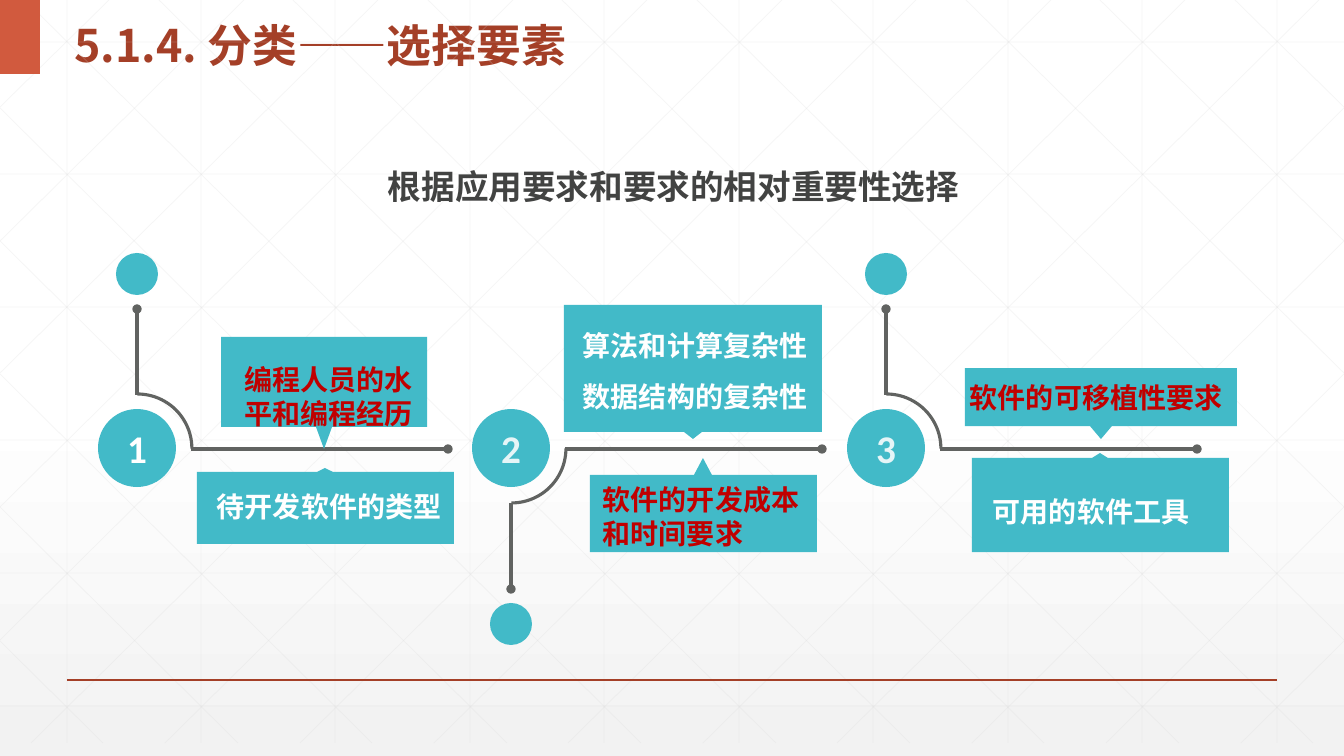
from dataclasses import dataclass

from lxml.etree import SubElement
from pptx import Presentation
from pptx.dml.color import RGBColor
from pptx.enum.shapes import MSO_CONNECTOR, MSO_SHAPE
from pptx.enum.text import MSO_ANCHOR, MSO_AUTO_SIZE, PP_ALIGN
from pptx.oxml.ns import qn
from pptx.util import Pt


@dataclass
class Theme:
    white: str = "FFFFFF"
    pale: str = "E5F5F7"
    fog: str = "F2F2F2"
    grid: str = "D9D9D9"
    rust: str = "A43F27"
    coral: str = "D15A3E"
    teal: str = "42BAC8"
    gray: str = "616361"
    dark: str = "424342"
    red: str = "C00000"
    sans: str = "Noto Sans CJK SC"
    title: int = 32
    digit: int = 28
    head: int = 24
    label: int = 20


LOOK = Theme()
PX = 9071
WIDE, HIGH, FOOT = 1344, 756, 743


def write(par, text, size, tint, face=LOOK.sans, align=PP_ALIGN.LEFT, lead=None):
    par.alignment = align
    par.line_spacing = lead
    run = par.add_run()
    run.text = text
    run.font.size = Pt(size)
    run.font.bold = True
    run.font.name = face
    run.font.color.rgb = RGBColor.from_string(tint)
    SubElement(run._r.get_or_add_rPr(), qn("a:ea"), typeface=LOOK.sans)


def wire(ends, tint, size, alpha=None, dot=False):
    line = slide.shapes.add_connector(MSO_CONNECTOR.STRAIGHT, *[n * PX for n in ends])
    line.line.width = Pt(size)
    line.line.color.rgb = RGBColor.from_string(tint)
    prop = line._element.spPr
    SubElement(prop, qn("a:effectLst"))
    if alpha:
        SubElement(prop.find(".//" + qn("a:srgbClr")), qn("a:alpha"), val=str(alpha * 1000))
    if dot:
        SubElement(prop.find(qn("a:ln")), qn("a:tailEnd"), type="oval")


deck = Presentation()
deck.slide_width, deck.slide_height = WIDE * PX, HIGH * PX
slide = deck.slides.add_slide(deck.slide_layouts[5])
shapes = slide.shapes

back = slide.background.fill
back.gradient()
back.gradient_angle = 270
for stop, spot, tint in zip(back.gradient_stops, (0.53, 1), (LOOK.white, LOOK.fog)):
    stop.position = spot
    stop.color.rgb = RGBColor.from_string(tint)

mesh = []
for col in range(10):
    x = 67 + col * 1210 // 9
    mesh.append((x, 0, x, FOOT))
for row in range(6):
    y = 42 + row * 664 // 5
    mesh.append((0, y, WIDE, y))
for step in range(-5, 10):
    start = 25 + step * 1210 // 9
    left, right = max(0, start), min(WIDE, start + 751)
    top, end = [(x - start) * FOOT // 751 for x in (left, right)]
    mesh.append((left, top, right, end))
    mesh.append((WIDE - left, top, WIDE - right, end))
for ends in mesh:
    wire(ends, LOOK.grid, 0.5, alpha=25)
wire((67, 680, 1277, 680), LOOK.rust, 1)

solids = [(shapes.add_shape(MSO_SHAPE.RECTANGLE, 0, 0, 40 * PX, 74 * PX), LOOK.coral)]

title = shapes.title
title.left, title.top, title.width, title.height = [n * PX for n in (64, 0, 912, 74)]
title.text_frame.auto_size = MSO_AUTO_SIZE.NONE
title.text_frame.vertical_anchor = MSO_ANCHOR.MIDDLE
for text, face in (("5.1.4. ", LOOK.sans), ("分类——选择要素", "Arial")):
    write(title.text_frame.paragraphs[0], text, LOOK.title, LOOK.rust, face=face, lead=1.3)

AXIS = 449
for step, side in enumerate((-1, 1, -1)):
    x = 137 + step * 749 // 2
    arc = shapes.add_shape(MSO_SHAPE.ARC, (x - 54) * PX, 394 * PX, 109 * PX, 109 * PX)
    if side > 0:
        arc.adjustments[0], arc.adjustments[1] = 0, 54
    arc.shadow.inherit = False
    arc.fill.background()
    arc.line.width = Pt(2.25)
    arc.line.color.rgb = RGBColor.from_string(LOOK.gray)
    wire((x + 54, AXIS, x + 311, AXIS), LOOK.gray, 2.25, dot=True)
    wire((x, AXIS + side * 54, x, AXIS + side * 140), LOOK.gray, 2.25, dot=True)
    for y, size in ((AXIS + side * 175, 42), (AXIS - 1, 78)):
        half = size // 2
        disc = shapes.add_shape(
            MSO_SHAPE.OVAL, (x - half) * PX, (y - half) * PX, size * PX, size * PX)
        solids.append((disc, LOOK.teal))
    frame = disc.text_frame
    frame.margin_left = frame.margin_right = frame.margin_top = frame.margin_bottom = 0
    frame.vertical_anchor = MSO_ANCHOR.MIDDLE
    write(frame.paragraphs[0], str(step + 1), LOOK.digit, LOOK.pale if step else LOOK.white,
          face="Calibri", align=PP_ALIGN.CENTER)

cards = (
    (221, 337, 427, 427, 449, 8),
    (197, 472, 454, 544, 468, 8),
    (590, 475, 817, 552, 458, 9),
    (564, 305, 822, 432, 439, 9),
    (965, 368, 1237, 426, 439, 11),
    (972, 458, 1229, 552, 453, 8),
)
for left, top, right, end, tip, half in cards:
    mid = (left + right) // 2
    base, far = (end, top) if tip > end else (top, end)
    path = shapes.build_freeform(mid, tip, scale=PX)
    path.add_line_segments([(mid + half, base), (right, base), (right, far),
                            (left, far), (left, base), (mid - half, base)])
    solids.append((path.convert_to_shape(), LOOK.teal))

for shape, tint in solids:
    shape.shadow.inherit = False
    shape.fill.solid()
    shape.fill.fore_color.rgb = RGBColor.from_string(tint)
    shape.line.fill.background()

LEFT, MID = PP_ALIGN.LEFT, PP_ALIGN.CENTER
notes = (
    ((378, 160, 597, 50), ["根据应用要求和要求的相对重要性选择"], LOOK.head, LOOK.dark, LEFT, 29.5),
    ((223, 357, 211, 78), ["编程人员的水平和编程经历"], LOOK.label, LOOK.red, MID, 24.5),
    ((207, 484, 250, 44), ["待开发软件的类型"], LOOK.label, LOOK.white, LEFT, 24.5),
    ((593, 477, 426, 78), ["软件的开发成本", "和时间要求"], LOOK.label, LOOK.red, LEFT, 24.5),
    ((573, 306, 248, 106), ["算法和计算复杂性", "数据结构的复杂性"],
     LOOK.label, LOOK.white, LEFT, 36.5),
    ((960, 375, 290, 44), ["软件的可移植性要求"], LOOK.label, LOOK.red, LEFT, 24.5),
    ((983, 489, 247, 44), ["可用的软件工具"], LOOK.label, LOOK.white, LEFT, 24.5),
)
for area, lines, size, tint, align, lead in notes:
    frame = shapes.add_textbox(*[n * PX for n in area]).text_frame
    frame.word_wrap = True
    for row, text in enumerate(lines):
        par = frame.add_paragraph() if row else frame.paragraphs[0]
        write(par, text, size, tint, align=align, lead=Pt(lead))

deck.save("out.pptx")
